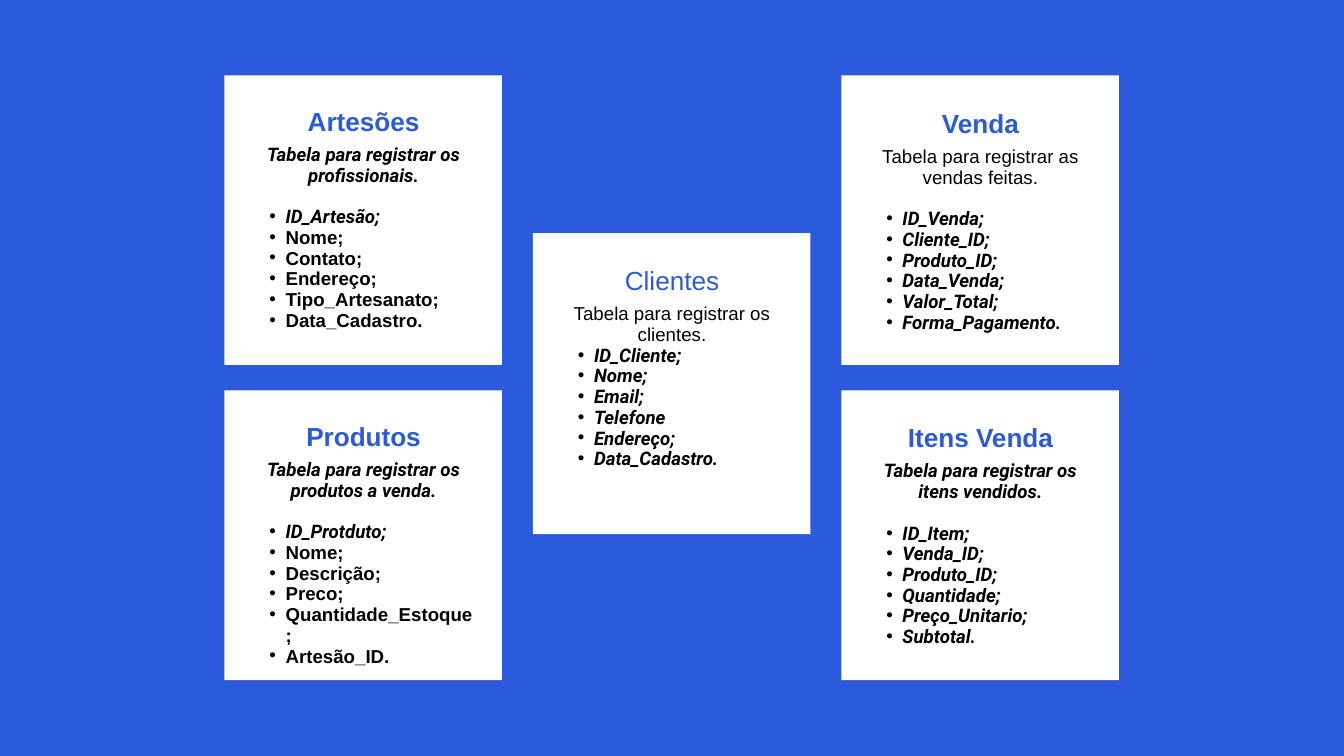
from lxml import etree
from pptx import Presentation
from pptx import util as u
from pptx.dml.color import RGBColor
from pptx.enum import shapes, text
from pptx.oxml.ns import qn

BLUE, WHITE, BLACK = "2B5ADC", "FFFFFF", "010101"
LEFT, MID, RIGHT = 3.34, 7.93, 12.52
TOP, LOW = 1.12, 5.81
WIDE, PAD = 4.13, 0.44

PLAIN = dict(font="Arial")
BOLD = dict(font="Arial", bold=True)
SLANT = dict(font="Roboto", bold=True, italic=True)

# Place, heading top, heading, intro, fields, then the styles of
# heading, intro and the fields after the first
CARDS = [
    (LEFT, TOP, 1.6, "Artesões", "Tabela para registrar os profissionais.",
     ["ID_Artesão;", "Nome;", "Contato;", "Endereço;", "Tipo_Artesanato;",
      "Data_Cadastro."], BOLD, SLANT, BOLD),
    (MID, 3.47, 3.97, "Clientes", "Tabela para registrar os clientes.",
     ["ID_Cliente;", "Nome;", "Email;", "Telefone", "Endereço;",
      "Data_Cadastro."], PLAIN, PLAIN, SLANT),
    (RIGHT, LOW, 6.31, "Itens Venda", "Tabela para registrar os itens vendidos.",
     ["ID_Item;", "Venda_ID;", "Produto_ID;", "Quantidade;",
      "Preço_Unitario;", "Subtotal."], BOLD, SLANT, SLANT),
    (LEFT, LOW, 6.29, "Produtos", "Tabela para registrar os produtos a venda.",
     ["ID_Protduto;", "Nome;", "Descrição;", "Preco;",
      "Quantidade_Estoque;", "Artesão_ID."], BOLD, SLANT, BOLD),
    (RIGHT, TOP, 1.63, "Venda", "Tabela para registrar as vendas feitas.",
     ["ID_Venda;", "Cliente_ID;", "Produto_ID;", "Data_Venda;",
      "Valor_Total;", "Forma_Pagamento."], BOLD, PLAIN, SLANT),
]


def paint(fill, color):
    fill.solid()
    fill.fore_color.rgb = RGBColor.from_string(color)


def add_panel(slide, x, y, high):
    panel = slide.shapes.add_shape(
        shapes.MSO_SHAPE.RECTANGLE,
        u.Inches(x), u.Inches(y), u.Inches(WIDE), u.Inches(high))
    panel.shadow.inherit = False
    paint(panel.fill, WHITE)
    panel.line.fill.background()


def add_frame(slide, x, y, high):
    """Add an empty text box without margins and return its text frame."""
    box = slide.shapes.add_textbox(
        u.Inches(x + PAD), u.Inches(y), u.Inches(WIDE - 2 * PAD + 0.01),
        u.Inches(high))
    frame = box.text_frame
    frame.word_wrap = True
    frame.auto_size = text.MSO_AUTO_SIZE.SHAPE_TO_FIT_TEXT
    frame.margin_left = frame.margin_right = 0
    frame.margin_top = frame.margin_bottom = 0
    return frame


def write(frame, words, font, size=20, color=BLACK, bold=False, italic=False,
          lead=22.2, after=0, bullet=False):
    """Fill the first paragraph if it is free, or else append one."""
    first = frame.paragraphs[0]
    para = frame.add_paragraph() if first.runs else first
    para.line_spacing = u.Pt(lead)
    para.space_after = u.Pt(after)
    if bullet:
        mark(para)
    else:
        para.alignment = text.PP_ALIGN.CENTER
    run = para.add_run()
    run.text = words
    run.font.name, run.font.size = font, u.Pt(size)
    run.font.bold, run.font.italic = bold, italic
    paint(run.font.fill, color)


def mark(para):
    """Give a paragraph a hanging bullet."""
    para.level = 1
    props = para._p.get_or_add_pPr()
    props.set("marL", str(u.Inches(0.47)))
    props.set("indent", str(u.Inches(-0.24)))
    etree.SubElement(props, qn("a:buFont"), typeface="Arial")
    etree.SubElement(props, qn("a:buChar"), char="•")


def add_card(slide, x, y, head_y, head, intro, fields, head_style,
             intro_style, rest_style):
    center = x == MID
    add_panel(slide, x, y, 4.48 if center else 4.31)
    title = add_frame(slide, x, head_y, 0.45)
    write(title, head, size=28, color=BLUE, lead=31.1, **head_style)
    body = add_frame(slide, x, head_y + 0.55, 2.45 if center else 2.74)
    write(body, intro, after=0 if center else 22.2, **intro_style)
    for i, field in enumerate(fields):
        write(body, field, bullet=True, **(rest_style if i else SLANT))


def main():
    deck = Presentation()
    deck.slide_width, deck.slide_height = u.Inches(20), u.Inches(11.25)
    slide = deck.slides.add_slide(deck.slide_layouts[6])
    paint(slide.background.fill, BLUE)
    for card in CARDS:
        add_card(slide, *card)
    deck.save("out.pptx")


if __name__ == "__main__":
    main()
